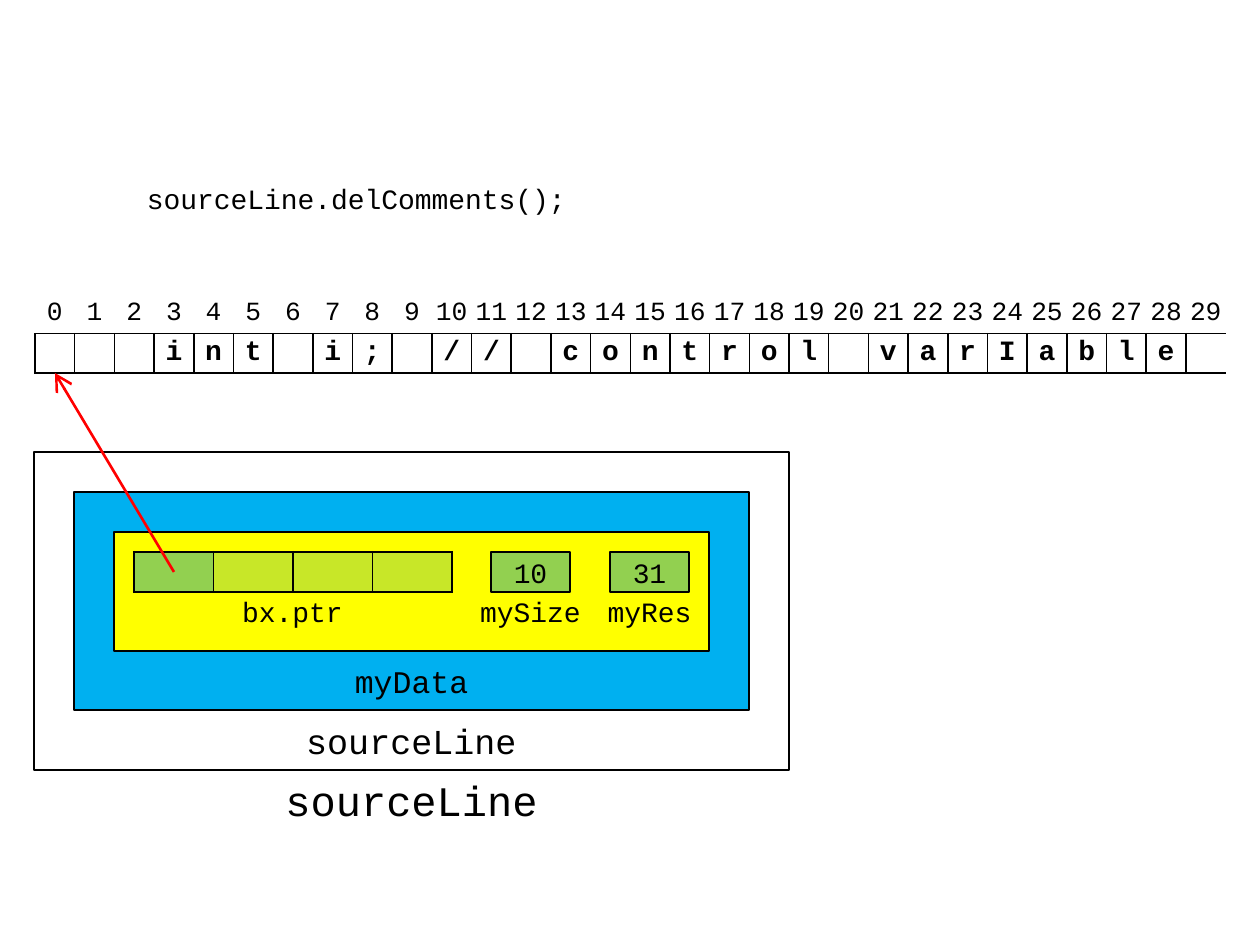
from lxml import etree
from pptx import Presentation
from pptx.dml.color import RGBColor
from pptx.enum.shapes import MSO_CONNECTOR, MSO_SHAPE
from pptx.enum.text import MSO_ANCHOR, PP_ALIGN
from pptx.oxml.ns import qn
from pptx.util import Pt

RECT, PROCESS = MSO_SHAPE.RECTANGLE, MSO_SHAPE.FLOWCHART_PROCESS
STRAIGHT = MSO_CONNECTOR.STRAIGHT
LEFT, CENTER = PP_ALIGN.LEFT, PP_ALIGN.CENTER
TOP, MIDDLE = MSO_ANCHOR.TOP, MSO_ANCHOR.MIDDLE
EMU_PER_PX = 914400 / 126
NO_STYLE = "{2D5ABB26-0587-4C30-8999-92F81FD0307C}"
BLACK, WHITE, RED = "000000", "FFFFFF", "FF0000"
BLUE, YELLOW, GREEN = "00B0F0", "FFFF00", "92D050"
LINE_TEXT = "   int i; // control varIable "


def px(length):
    return round(length * EMU_PER_PX)


def color(value):
    return RGBColor.from_string(value)


def write(frame, text, size=16, bold=False, align=CENTER, before=0):
    paragraph = frame.paragraphs[0]
    paragraph.alignment = align
    paragraph.space_before = Pt(before)
    run = paragraph.add_run()
    run.text = text
    run.font.name = "Courier New"
    run.font.size = Pt(size)
    run.font.bold = bold
    run.font.color.rgb = color(BLACK)


def add_label(slide, box, text, inset=0, side=13, anchor=MIDDLE, **text_format):
    frame = slide.shapes.add_textbox(*map(px, box)).text_frame
    frame.word_wrap = True
    frame.vertical_anchor = anchor
    frame.margin_top = frame.margin_bottom = px(inset)
    frame.margin_left = frame.margin_right = px(side)
    write(frame, text, **text_format)


def add_box(slide, box, fill, kind=PROCESS):
    shape = slide.shapes.add_shape(kind, *map(px, box))
    shape.shadow.inherit = False
    shape.fill.solid()
    shape.fill.fore_color.rgb = color(fill)
    shape.line.color.rgb = color(BLACK)
    shape.line.width = Pt(1.5)
    return shape


def add_plain_table(slide, box, rows, columns):
    left, top, width, height = map(px, box)
    table = slide.shapes.add_table(rows, columns, left, top, width, height).table
    table.first_row = table.horz_banding = False
    table._tbl.tblPr.find(qn("a:tableStyleId")).text = NO_STYLE
    for row in table.rows:
        row.height = height // rows
    for column in table.columns:
        column.width = width // columns
    for cell in table.iter_cells():
        cell.fill.background()
        cell.vertical_anchor = MIDDLE
        cell.margin_left = cell.margin_right = cell.margin_top = cell.margin_bottom = 0
    return table


def set_borders(cell, **widths):
    """Border widths in points by side: L, R, T, B."""
    properties = cell._tc.get_or_add_tcPr()
    sides = [side for side in "LRTB" if side in widths]
    for position, side in enumerate(sides):
        line = etree.Element(qn(f"a:ln{side}"), w=str(Pt(widths[side])))
        fill = etree.SubElement(line, qn("a:solidFill"))
        etree.SubElement(fill, qn("a:srgbClr"), val=BLACK)
        properties.insert(position, line)


def draw_characters(slide, box):
    """Index row above the character cells."""
    count = len(LINE_TEXT)
    table = add_plain_table(slide, box, 2, count)
    for index, character in enumerate(LINE_TEXT):
        write(table.cell(0, index).text_frame, str(index), size=15)
        set_borders(table.cell(0, index), B=1)
        cell = table.cell(1, index)
        if character != " ":
            write(cell.text_frame, character, bold=True)
        # The last cell stays open on its right
        right = {"R": 1} if index < count - 1 else {}
        set_borders(cell, L=1, T=1, B=1, **right)


def draw_pointer(slide, box):
    """Four bytes, of which the first is the solid one."""
    table = add_plain_table(slide, box, 1, 4)
    for index, cell in enumerate(table.iter_cells()):
        cell.fill.solid()
        cell.fill.fore_color.rgb = color(GREEN)
        if index:
            tint = cell._tc.tcPr.find(".//" + qn("a:srgbClr"))
            etree.SubElement(tint, qn("a:alpha"), val="50000")
        set_borders(cell, L=1 if index else 1.5, R=1.5 if index == 3 else 1,
                    T=1.5, B=1.5)


def draw_fields(slide, box):
    """Yellow record with the pointer and two numbers."""
    left, top, _, _ = box
    add_box(slide, box, YELLOW)
    for value, offset in (("10", 377), ("31", 496)):
        field = add_box(slide, (left + offset, top + 20, 79, 40), GREEN, RECT)
        field.text_frame.vertical_anchor = MIDDLE
        write(field.text_frame, value)
    draw_pointer(slide, (left + 20, top + 20, 318, 40))
    for name, offset in (("bx.ptr", 119), ("mySize", 357), ("myRes", 476)):
        add_label(slide, (left + offset, top + 59, 119, 40), name, side=5)


def draw_object(slide, box):
    """Nested boxes, each with a caption centred below its inner box."""
    left, top, width, height = box
    add_box(slide, box, WHITE)
    add_box(slide, (left + 40, top + 40, width - 80, height - 100), BLUE)
    captions = (("sourceLine", 24, 318, 0), ("sourceLine", 20, 238, 60),
                ("myData", 18, 159, 119))
    for name, size, wide, rise in captions:
        caption = (left + (width - wide) / 2, top + height - rise, wide, 60)
        add_label(slide, caption, name, size=size)
    draw_fields(slide, (left + 80, top + 80, width - 160, 119))


def draw_arrow(slide, start, end):
    arrow = slide.shapes.add_connector(STRAIGHT, *map(px, start + end))
    arrow.line.color.rgb = color(RED)
    arrow.line.width = Pt(1.5)
    etree.SubElement(arrow.line._get_or_add_ln(), qn("a:tailEnd"),
                     type="arrow", w="lg", len="lg")
    etree.SubElement(arrow._element.spPr, qn("a:effectLst"))


def main():
    deck = Presentation()
    deck.slide_width, deck.slide_height = px(1260), px(945)
    slide = deck.slides.add_slide(deck.slide_layouts[6])
    # Statement
    add_label(slide, (134, 176, 456, 59), "sourceLine.delComments();",
              inset=6, anchor=TOP, align=LEFT, before=2)
    # Object, its characters and the pointer between them
    draw_object(slide, (34, 452, 755, 318))
    draw_characters(slide, (35, 294, 1191, 79))
    draw_arrow(slide, (174, 572), (55, 373))
    deck.save("out.pptx")


if __name__ == "__main__":
    main()
